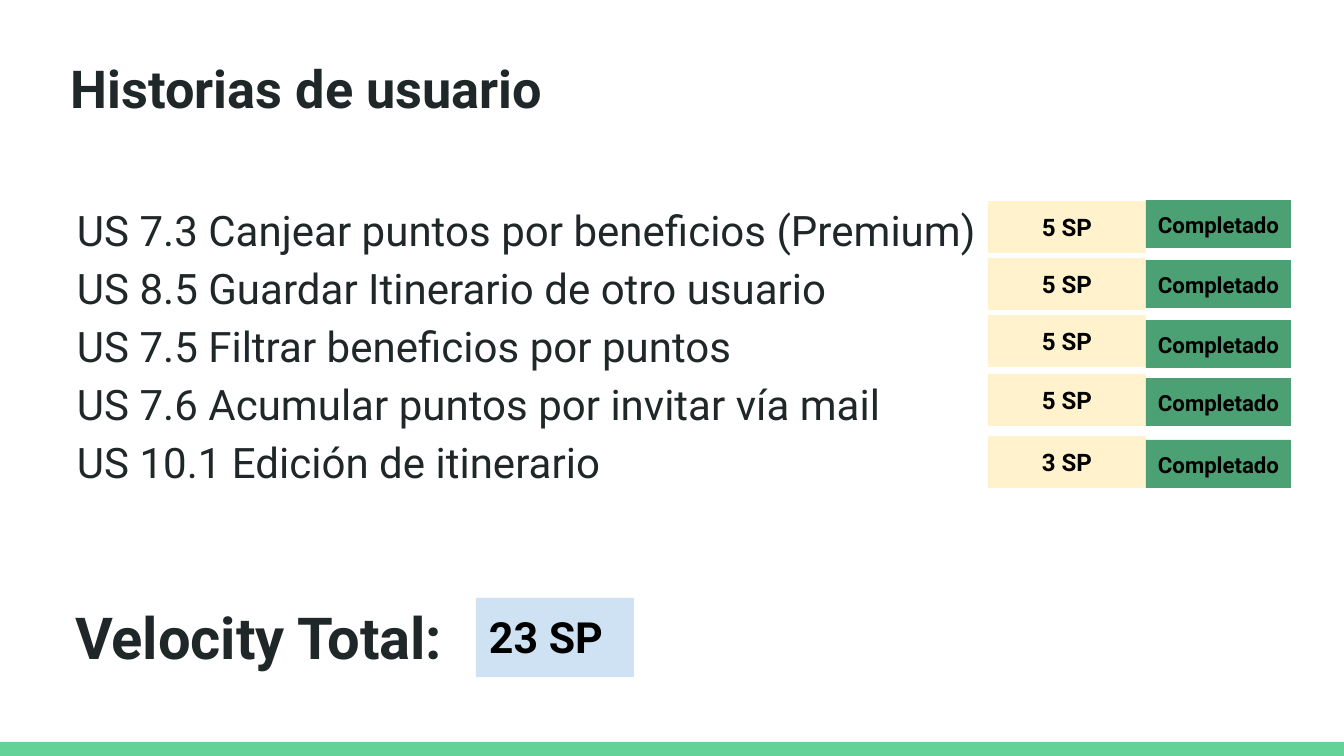
from pptx import Presentation
from pptx import util as u
from pptx.dml.color import RGBColor
from pptx.enum import shapes, text

PX = 914400 / 134.4
FONT = "Roboto"
COLORS = {
    "ink": "202729", "black": "000000", "footer": "63D297",
    "points": "FFF2CC", "status": "4BA173", "total": "CFE2F3",
}

TITLE = "Historias de usuario"
STORIES = [
    ("US 7.3 Canjear puntos por beneficios (Premium)", "5 SP", "Completado", 201, 200),
    ("US 8.5 Guardar Itinerario de otro usuario", "5 SP", "Completado", 258, 260),
    ("US 7.5 Filtrar beneficios por puntos", "5 SP", "Completado", 315, 320),
    ("US 7.6 Acumular puntos por invitar vía mail", "5 SP", "Completado", 374, 378),
    ("US 10.1 Edición de itinerario", "3 SP", "Completado", 436, 440),
]
TOTAL_LABEL, TOTAL = "Velocity Total:", "23 SP"

prs = Presentation()
prs.slide_width, prs.slide_height = u.Emu(round(1344 * PX)), u.Emu(round(756 * PX))
slide = prs.slides.add_slide(prs.slide_layouts[6])


def px(*lengths):
    return [u.Emu(round(length * PX)) for length in lengths]


def write(box, lines, size, color, bold=True, inset=13, spacing=1.0,
          align=text.PP_ALIGN.LEFT):
    frame = box.text_frame
    frame.word_wrap = True
    frame.vertical_anchor = text.MSO_ANCHOR.TOP
    (frame.margin_left, frame.margin_top,
     frame.margin_right, frame.margin_bottom) = px(*[inset] * 4)
    for i, line in enumerate(lines):
        paragraph = frame.add_paragraph() if i else frame.paragraphs[0]
        paragraph.line_spacing = spacing
        paragraph.alignment = align
        run = paragraph.add_run()
        run.text = line
        run.font.name, run.font.size, run.font.bold = FONT, u.Pt(size), bold
        run.font.color.rgb = RGBColor.from_string(COLORS[color])


def add_text(place, lines, size, **style):
    write(slide.shapes.add_textbox(*px(*place)), lines, size, "ink", **style)


def add_block(place, fill):
    block = slide.shapes.add_shape(shapes.MSO_SHAPE.RECTANGLE, *px(*place))
    block.shadow.inherit = False
    block.fill.solid()
    block.fill.fore_color.rgb = RGBColor.from_string(COLORS[fill])
    block.line.fill.background()
    return block


add_block((0, 742, 1344, 14), "footer")
add_text((58, 50, 1253, 85), [TITLE], 28, spacing=0.9)
add_text((65, 185, 1046, 383), [story[0] for story in STORIES], 22.5,
         bold=False, inset=12, spacing=1.15)

for _, points, status, points_top, status_top in STORIES:
    for label, place, fill, size in (
        (points, (988, points_top, 158, 52), "points", 12.9),
        (status, (1146, status_top, 145, 48), "status", 11.9),
    ):
        write(add_block(place, fill), [label], size, "black", inset=11,
              align=text.PP_ALIGN.CENTER)

add_text((62, 589, 426, 97), [TOTAL_LABEL], 31)
write(add_block((476, 598, 158, 79), "total"), [TOTAL], 23, "black")

prs.save("out.pptx")
